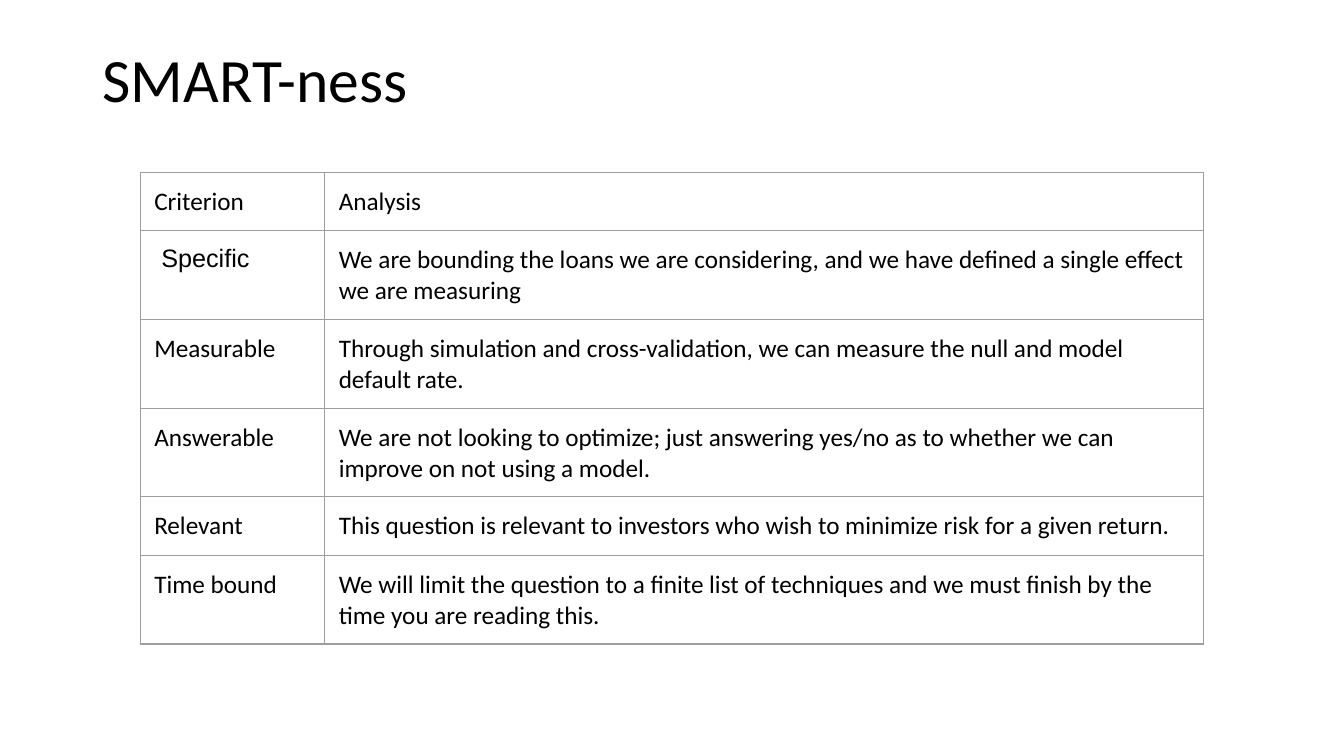
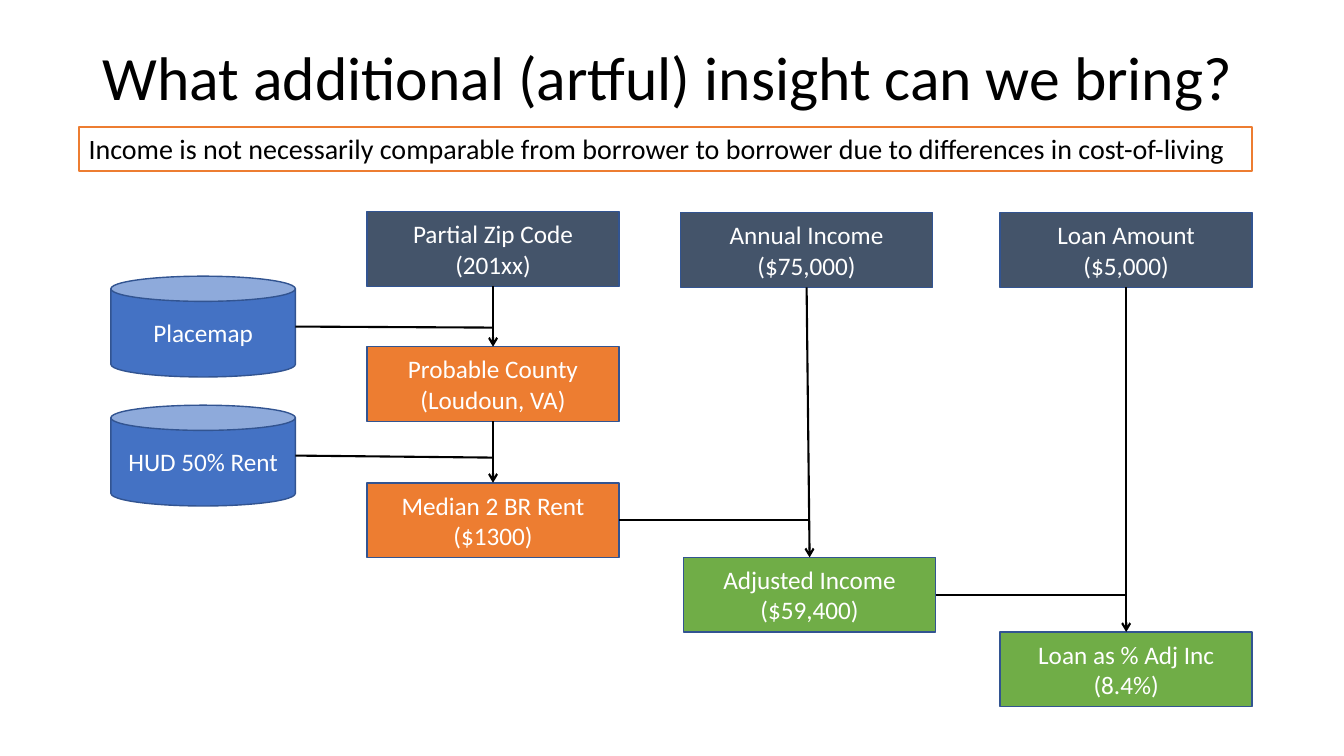
from pptx import Presentation
from pptx.dml.color import RGBColor
from pptx.enum.shapes import MSO_CONNECTOR, MSO_SHAPE
from pptx.enum.text import MSO_ANCHOR, PP_ALIGN
from pptx.oxml.ns import qn
from pptx.util import Pt
from lxml.etree import SubElement

PX = 9144  # 100 px to the inch
COLORS = {
    "ink": "000000", "white": "FFFFFF", "grid": "9E9E9E", "outline": "325491",
    "input": "44546A", "source": "4472C4", "derived": "ED7D31", "result": "70AD47",
}
TITLE_LEFT, TITLE_WIDTH = 92, 1150


def rgb(name):
    return RGBColor.from_string(COLORS[name])


def write(frame, text, size, color="ink", align=PP_ALIGN.LEFT, font="Calibri"):
    """Fill a text frame, one paragraph per line, in a single style."""
    frame.text = text
    frame.word_wrap = True
    for para in frame.paragraphs:
        para.alignment = align
        for span in para.runs:
            span.font.name = font
            span.font.size = Pt(size)
            span.font.color.rgb = rgb(color)


deck = Presentation()
deck.slide_width, deck.slide_height = 1333 * PX, 750 * PX

pages = []
for title, top, height in [
    ("SMART-ness", 40, 83),
    ("What additional (artful) insight can we bring?", 33, 93),
]:
    page = deck.slides.add_slide(deck.slide_layouts[6])
    box = page.shapes.add_textbox(TITLE_LEFT * PX, top * PX, TITLE_WIDTH * PX, height * PX)
    write(box.text_frame, title, 44)
    box.text_frame.vertical_anchor = MSO_ANCHOR.MIDDLE
    box.text_frame.paragraphs[0].line_spacing = 0.9
    pages.append(page)
criteria_page, flow_page = pages

# Criteria table
CRITERIA = [
    ("Criterion", "Analysis"),
    ("Specific", "We are bounding the loans we are considering, and we have defined "
                 "a single effect we are measuring"),
    ("Measurable", "Through simulation and cross-validation, we can measure the null "
                   "and model default rate."),
    ("Answerable", "We are not looking to optimize; just answering yes/no as to whether "
                   "we can improve on not using a model."),
    ("Relevant", "This question is relevant to investors who wish to minimize risk "
                 "for a given return."),
    ("Time bound", "We will limit the question to a finite list of techniques and we "
                   "must finish by the time you are reading this."),
]
COLUMN_WIDTHS = [183, 872]
ROW_HEIGHTS = [58, 88, 88, 88, 58, 88]
CELL_MARGIN = 14

table = criteria_page.shapes.add_table(
    len(CRITERIA), len(COLUMN_WIDTHS), 139 * PX, 171 * PX,
    sum(COLUMN_WIDTHS) * PX, sum(ROW_HEIGHTS) * PX).table
table.first_row = table.horz_banding = False
for column, width in zip(table.columns, COLUMN_WIDTHS):
    column.width = width * PX
for row, height, texts in zip(table.rows, ROW_HEIGHTS, CRITERIA):
    row.height = height * PX
    for cell, text in zip(row.cells, texts):
        write(cell.text_frame, text, 18, font="Arial" if text == "Specific" else "Calibri")
        cell.margin_left = cell.margin_right = CELL_MARGIN * PX
        cell.margin_top = cell.margin_bottom = CELL_MARGIN * PX
        properties = cell._tc.get_or_add_tcPr()
        for side in ("a:lnL", "a:lnR", "a:lnT", "a:lnB"):
            border = SubElement(properties, qn(side), w=str(Pt(1)))
            fill = SubElement(border, qn("a:solidFill"))
            SubElement(fill, qn("a:srgbClr"), val=COLORS["grid"])
        cell.fill.background()

specific = table.cell(1, 0)
specific.margin_left = specific.margin_right = 10 * PX
specific.text_frame.paragraphs[0]._p.get_or_add_pPr().set("marL", str(11 * PX))

# Flow of the income adjustment
banner = flow_page.shapes.add_shape(
    MSO_SHAPE.RECTANGLE, 78 * PX, 126 * PX, 1164 * PX, 44 * PX)
banner.shadow.inherit = False
banner.fill.background()
banner.line.color.rgb = rgb("derived")
banner.line.width = Pt(1.5)
write(banner.text_frame, "Income is not necessarily comparable from borrower to borrower "
      "due to differences in cost-of-living", 20)
banner.text_frame.word_wrap = False
banner.text_frame.vertical_anchor = MSO_ANCHOR.TOP

RECTANGLE = (MSO_SHAPE.RECTANGLE, 250, 74)
CYLINDER = (MSO_SHAPE.CAN, 183, 100)
NODES = {
    "zip": (RECTANGLE, 364, 210, "input", "Partial Zip Code\n(201xx)"),
    "places": (CYLINDER, 110, 274, "source", "Placemap"),
    "county": (RECTANGLE, 364, 344, "derived", "Probable County\n(Loudoun, VA)"),
    "rents": (CYLINDER, 110, 402, "source", "HUD 50% Rent"),
    "rent": (RECTANGLE, 364, 479, "derived", "Median 2 BR Rent\n($1300)"),
    "income": (RECTANGLE, 675, 211, "input", "Annual Income\n($75,000)"),
    "adjusted": (RECTANGLE, 678, 553, "result", "Adjusted Income\n($59,400)"),
    "loan": (RECTANGLE, 992, 211, "input", "Loan Amount\n($5,000)"),
    "ratio": (RECTANGLE, 992, 627, "result", "Loan as % Adj Inc\n(8.4%)"),
}
nodes = {}
for name, ((kind, width, height), left, top, color, text) in NODES.items():
    node = flow_page.shapes.add_shape(kind, left * PX, top * PX, width * PX, height * PX)
    node.shadow.inherit = False
    node.fill.solid()
    node.fill.fore_color.rgb = rgb(color)
    node.line.color.rgb = rgb("outline")
    node.line.width = Pt(1)
    write(node.text_frame, text, 18, "white", PP_ALIGN.CENTER)
    node.text_frame.vertical_anchor = MSO_ANCHOR.MIDDLE
    nodes[name] = node

# Arrows run down from box to box; feeds join an arrow from the left, at a drop in px
ARROWS = [("zip", "county"), ("county", "rent"), ("income", "adjusted"), ("loan", "ratio")]
FEEDS = [("places", "county", 1), ("rents", "rent", 2),
         ("rent", "adjusted", 0), ("adjusted", "ratio", 0)]
BOTTOM, TOP = 2, 0

connectors = []
for start, end in ARROWS:
    arrow = flow_page.shapes.add_connector(MSO_CONNECTOR.STRAIGHT, 0, 0, 0, 0)
    arrow.begin_connect(nodes[start], BOTTOM)
    arrow.end_connect(nodes[end], TOP)
    SubElement(arrow.line._get_or_add_ln(), qn("a:tailEnd"), type="arrow")
    connectors.append(arrow)
for start, end, drop in FEEDS:
    origin, target = nodes[start], nodes[end]
    middle = origin.top + origin.height // 2
    connectors.append(flow_page.shapes.add_connector(
        MSO_CONNECTOR.STRAIGHT, origin.left + origin.width, middle,
        target.left + target.width // 2, middle + drop * PX))
for connector in connectors:
    connector.line.color.rgb = rgb("ink")
    connector.line.width = Pt(1.5)
    SubElement(connector._element.spPr, qn("a:effectLst"))

deck.save("out.pptx")
